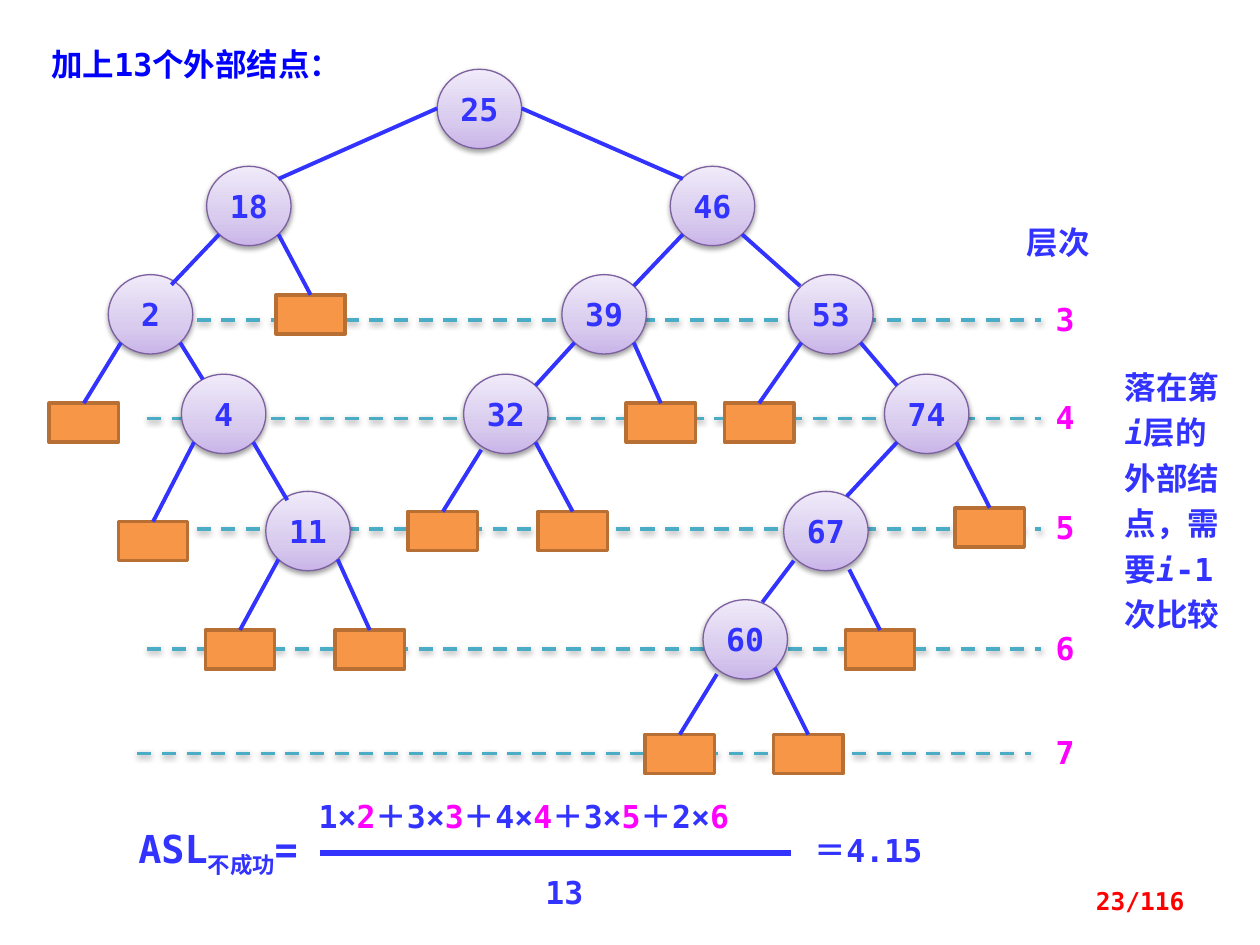
import copy

import pptx
import pptx.util
import pptx.dml.color
import pptx.enum.dml
import pptx.enum.shapes
import pptx.enum.text
import pptx.oxml
import pptx.oxml.ns
import pptx.oxml.xmlchemy
from pptx.util import Inches

COLORS = {
    "ink": "3333FF", "title": "0000FF", "accent": "FF00FF", "page": "FF0000",
    "level": "4BACC6", "node_edge": "7D60A0", "leaf": "F79646", "leaf_edge": "B76F34",
    "node_low": "C9B5E8", "node_mid": "D8CBEE", "node_high": "F0EAF9",
}
MONO, CJK = "DejaVu Sans Mono", "Noto Sans CJK SC"
NODE_W, NODE_H = 0.67, 0.63
LEAF_W, LEAF_H = 0.55, 0.31

LEVELS = [
    (3, 2.33, 2.54, 1.17), (4, 3.11, 3.32, 1.17), (5, 3.98, 4.2, 1.17),
    (6, 4.94, 5.15, 1.17), (7, 5.77, 5.98, 1.09),
]
NODES = {
    25: (3.47, 0.55), 18: (1.64, 1.32), 2: (0.86, 2.18), 4: (1.44, 2.97),
    11: (2.11, 3.9), 46: (5.32, 1.32), 39: (4.46, 2.18), 32: (3.68, 2.97),
    53: (6.26, 2.18), 74: (7.02, 2.97), 67: (6.22, 3.9), 60: (5.58, 4.76),
}
FEET = {"left": (0.1, 0.54), "right": (0.57, 0.54)}
SPECIAL_FEET = {
    (25, "left"): (0, 0.31), (25, "right"): (0.67, 0.31),
    (32, "left"): (0.14, 0.6), (60, "left"): (0.11, 0.59),
    (67, "left"): (0.08, 0.55), (67, "right"): (0.52, 0.62),
}
BRANCHES = [
    (25, "left", 2.21, 1.42), (25, "right", 5.42, 1.42),
    (18, "left", 1.36, 2.26), (2, "right", 1.61, 3.01),
    (4, "right", 2.28, 3.97), (46, "left", 5.03, 2.27),
    (46, "right", 6.35, 2.27), (39, "left", 4.25, 3.06),
    (53, "right", 7.12, 3.06), (74, "left", 6.72, 3.94),
    (67, "left", 6.05, 4.78),
]
LEAVES = [
    (11, "left", 1.63, 5), (11, "right", 2.66, 5), (2, "left", 0.39, 3.2),
    (4, "left", 0.94, 4.14), (18, "right", 2.19, 2.34), (39, "right", 4.97, 3.2),
    (53, "left", 5.75, 3.2), (60, "left", 5.12, 5.83), (60, "right", 6.14, 5.83),
    (67, "right", 6.71, 5), (74, "right", 7.58, 4.03), (32, "left", 3.24, 4.06),
    (32, "right", 4.27, 4.06),
]
TERMS = [("1×", "2"), ("＋3×", "3"), ("＋4×", "4"), ("＋3×", "5"), ("＋2×", "6")]


def rgb(name):
    """Return the named colour."""
    return pptx.dml.color.RGBColor.from_string(COLORS[name])


class TreeSlide:
    """Style and drawing methods for the search tree slide."""

    def __init__(self, s):
        """Keep the slide to draw on."""
        self.s = s

    def format_run(self, r, color="ink", size=18, font=MONO, italic=False, baseline=0):
        """Apply the bold type style to a run."""
        r.font.name, r.font.size = font, pptx.util.Pt(size)
        r.font.bold, r.font.italic = True, italic
        r.font.color.rgb = rgb(color)
        rpr = r.font._element
        ea = pptx.oxml.xmlchemy.OxmlElement("a:ea")
        ea.set("typeface", CJK)
        rpr.find(pptx.oxml.ns.qn("a:latin")).addnext(ea)
        if baseline:
            rpr.set("baseline", str(baseline * 1000))

    def text(self, x, y, w, h, runs, align="LEFT", spacing=None, grow=True, **style):
        """Add a text box from (text, style) runs."""
        sp = self.s.shapes.add_textbox(Inches(x), Inches(y), Inches(w), Inches(h))
        tf = sp.text_frame
        tf.word_wrap = True
        if grow:
            tf.auto_size = pptx.enum.text.MSO_AUTO_SIZE.SHAPE_TO_FIT_TEXT
        else:
            tf.vertical_anchor = pptx.enum.text.MSO_ANCHOR.MIDDLE
        p = tf.paragraphs[0]
        p.alignment = getattr(pptx.enum.text.PP_ALIGN, align)
        if spacing:
            p.line_spacing = pptx.util.Pt(spacing)
        for words, extra in runs:
            r = p.add_run()
            r.text = words
            self.format_run(r, **{**style, **extra})

    def effects(self, sp, shadow):
        """Replace the theme shadow with a soft one or none."""
        xml = '<a:effectLst %s>' % pptx.oxml.ns.nsdecls("a")
        if shadow:
            xml += ('<a:outerShdw blurRad="40000" dist="20000" dir="5400000" rotWithShape="0">'
                    '<a:srgbClr val="000000"><a:alpha val="38000"/></a:srgbClr></a:outerShdw>')
        sp._element.spPr.append(pptx.oxml.parse_xml(xml + "</a:effectLst>"))

    def line(self, x1, y1, x2, y2, color="ink", width=2.25, dashed=False):
        """Add a straight line; dashed lines carry a shadow."""
        sp = self.s.shapes.add_connector(
            pptx.enum.shapes.MSO_CONNECTOR.STRAIGHT,
            Inches(x1), Inches(y1), Inches(x2), Inches(y2))
        sp.line.color.rgb, sp.line.width = rgb(color), pptx.util.Pt(width)
        if dashed:
            sp.line.dash_style = pptx.enum.dml.MSO_LINE.DASH
        self.effects(sp, dashed)

    def shape(self, kind, x, y, w, h, edge, width):
        """Add an outlined preset shape."""
        sp = self.s.shapes.add_shape(
            getattr(pptx.enum.shapes.MSO_SHAPE, kind), Inches(x), Inches(y), Inches(w), Inches(h))
        sp.line.color.rgb, sp.line.width = rgb(edge), pptx.util.Pt(width)
        return sp

    def node(self, key, x, y):
        """Add an internal node with its key."""
        sp = self.shape("OVAL", x, y, NODE_W, NODE_H, "node_edge", 0.75)
        sp.fill.gradient()
        sp.fill.gradient_angle = 90
        stops = sp._element.spPr.find(".//" + pptx.oxml.ns.qn("a:gsLst"))
        stops.append(copy.deepcopy(stops[0]))
        shades = [(0, "node_low"), (0.35, "node_mid"), (1, "node_high")]
        for stop, (position, color) in zip(sp.fill.gradient_stops, shades):
            stop.position, stop.color.rgb = position, rgb(color)
        self.effects(sp, True)
        tf = sp.text_frame
        tf.margin_left = tf.margin_right = 0
        tf.vertical_anchor = pptx.enum.text.MSO_ANCHOR.MIDDLE
        tf.text = str(key)
        p = tf.paragraphs[0]
        p.alignment = pptx.enum.text.PP_ALIGN.CENTER
        self.format_run(p.runs[0])

    def leaf(self, x, y):
        """Add an external node."""
        sp = self.shape("RECTANGLE", x, y, LEAF_W, LEAF_H, "leaf_edge", 2)
        sp.fill.solid()
        sp.fill.fore_color.rgb = rgb("leaf")
        sp.shadow.inherit = False

    def branch(self, key, side, x, y):
        """Join one foot of a node to a point."""
        left, top = NODES[key]
        dx, dy = SPECIAL_FEET.get((key, side), FEET[side])
        self.line(left + dx, top + dy, x, y)


def main():
    """Build the slide and save it."""
    prs = pptx.Presentation()
    prs.slide_width, prs.slide_height = Inches(10), Inches(7.5)
    tree = TreeSlide(prs.slides.add_slide(prs.slide_layouts[6]))

    tree.text(7.89, 1.72, 1.02, 0.4, [("层次", {})], align="CENTER", font=CJK)
    for level, top, y, start in LEVELS:
        tree.text(8.28, top, 0.47, 0.4, [(str(level), {})], color="accent")
        tree.line(start, y, start + 7.09, y, "level", 2, dashed=True)
    tree.text(0.31, 0.31, 2.58, 0.4, [("加上13个外部结点：", {})], color="title")

    for key, (x, y) in NODES.items():
        tree.node(key, x, y)
    for branch in BRANCHES:
        tree.branch(*branch)
    for key, side, x, y in LEAVES:
        tree.leaf(x, y)
        tree.branch(key, side, x + LEAF_W / 2, y)

    tree.text(1, 6.5, 1.72, 0.45,
              [("ASL", {}), ("不成功", {"baseline": -25}), ("=", {})], size=22)
    numerator = [run for count, level in TERMS
                 for run in ((count, {}), (level, {"color": "accent"}))]
    tree.text(2.43, 6.28, 3.98, 0.4, numerator)
    tree.line(2.54, 6.77, 6.28, 6.77, width=3)
    tree.text(4.23, 6.88, 0.67, 0.39, [("13", {})])
    tree.text(6.37, 6.55, 1.13, 0.4, [("＝4.15", {})])

    index = ("i", {"italic": True})
    tree.text(8.83, 2.81, 1.02, 2.29,
              [("落在第", {}), index, ("层的外部结点，需要", {}), index, ("-1次比较", {})],
              spacing=26)
    tree.text(7.17, 6.95, 2.33, 0.4, [("23/116", {})],
              align="RIGHT", grow=False, color="page", size=14)
    prs.save("out.pptx")


if __name__ == "__main__":
    main()
